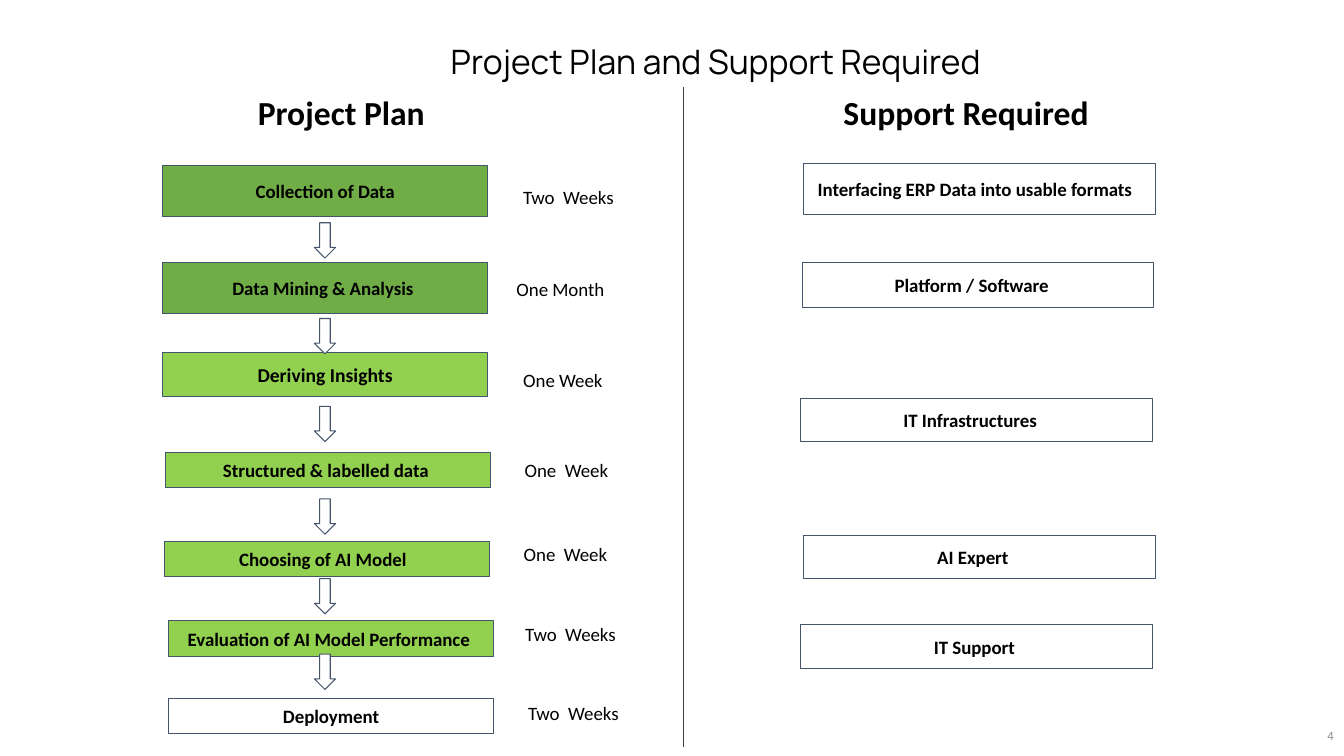
from lxml import etree
from pptx import Presentation
from pptx.dml.color import RGBColor
from pptx.enum.shapes import MSO_CONNECTOR, MSO_SHAPE
from pptx.enum.text import MSO_ANCHOR, PP_ALIGN
from pptx.oxml.ns import qn
from pptx.util import Pt

RECTANGLE, DOWN_ARROW = MSO_SHAPE.RECTANGLE, MSO_SHAPE.DOWN_ARROW
STRAIGHT = MSO_CONNECTOR.STRAIGHT
LEFT, CENTER, RIGHT = PP_ALIGN.LEFT, PP_ALIGN.CENTER, PP_ALIGN.RIGHT
TOP, MIDDLE = MSO_ANCHOR.TOP, MSO_ANCHOR.MIDDLE

BLACK = RGBColor(0x00, 0x00, 0x00)
WHITE = RGBColor(0xFF, 0xFF, 0xFF)
GREEN = RGBColor(0x70, 0xAD, 0x47)
LIME = RGBColor(0x92, 0xD0, 0x50)
SLATE = RGBColor(0x44, 0x54, 0x6A)
DIVIDER = RGBColor(0x40, 0x40, 0x40)
GRAY = RGBColor(0x8C, 0x8C, 0x8C)

INSET = 7.2
STEP_WIDTH, SUPPORT_WIDTH = 232.6, 251.3
DURATION_HEIGHT = 25.9

# Box left, top, height, fill, text, size, extra right inset;
# duration left, top, width, text
STEPS = [
    ((116, 118.1, 36.7, GREEN, "Collection of Data", 13.5, 0),
     (347, 127.4, 118, "Two  Weeks")),
    ((116, 187.2, 36.7, GREEN, "Data Mining & Analysis", 13.5, 3),
     (351.3, 193.7, 98, "One Month")),
    ((116, 252, 31, LIME, "Deriving Insights", 14, 0),
     (352.1, 258.5, 100, "One Week")),
    ((118.1, 323.3, 25.2, LIME, "Structured & labelled data", 13.5, 3),
     (345.6, 322.6, 118, "One  Week")),
    ((117.4, 386.6, 25.2, LIME, "Choosing of AI Model", 13.5, 6),
     (344.9, 383, 118, "One  Week")),
    ((120.2, 443.5, 25.2, LIME, "Evaluation of AI Model Performance", 13.5, 3),
     (348.5, 439.9, 118, "Two  Weeks")),
    ((120.2, 499, 25.2, WHITE, "Deployment", 13.5, 0),
     (350.6, 496.1, 118, "Two  Weeks")),
]
ARROW_TOPS = [159.1, 227.5, 290.2, 356.4, 413.3, 467.3]

# Left, top, height, text, extra right inset
SUPPORTS = [
    (573.8, 116.6, 36.7, "Interfacing ERP Data into usable formats", 6),
    (572.9, 187.2, 32.4, "Platform / Software", 9),
    (571.9, 284.4, 31, "IT Infrastructures", 9),
    (573.8, 382.3, 31, "AI Expert", 9),
    (571.9, 446.4, 31, "IT Support", 3),
]


class SlideBuilder:
    def __init__(self, slide, font="Calibri", size=13.5):
        self.slide = slide
        self.font = font
        self.size = size

    def label(self, shape, text, size=None, bold=False, color=BLACK, font=None,
              align=CENTER, anchor=MIDDLE, shift=0, spacing=None):
        """Put one styled paragraph in a shape; shift widens the right inset."""
        frame = shape.text_frame
        frame.word_wrap = True
        frame.vertical_anchor = anchor
        frame.margin_left, frame.margin_right = Pt(INSET), Pt(INSET + shift)
        frame.margin_top = frame.margin_bottom = Pt(INSET / 2)
        paragraph = frame.paragraphs[0]
        paragraph.text = text
        paragraph.alignment = align
        if spacing:
            paragraph.line_spacing = spacing
        paragraph.font.name = font or self.font
        paragraph.font.size = Pt(size or self.size)
        paragraph.font.bold = bold
        paragraph.font.color.rgb = color

    def text(self, left, top, width, height, text, **style):
        box = self.slide.shapes.add_textbox(Pt(left), Pt(top), Pt(width), Pt(height))
        self.label(box, text, **style)

    def outlined(self, kind, left, top, width, height, fill):
        shape = self.slide.shapes.add_shape(
            kind, Pt(left), Pt(top), Pt(width), Pt(height))
        shape.shadow.inherit = False
        shape.fill.solid()
        shape.fill.fore_color.rgb = fill
        shape.line.color.rgb = SLATE
        shape.line.width = Pt(0.75)
        return shape

    def box(self, left, top, width, height, fill, text, **style):
        shape = self.outlined(RECTANGLE, left, top, width, height, fill)
        self.label(shape, text, bold=True, **style)

    def arrow(self, left, top):
        self.outlined(DOWN_ARROW, left, top, 15.1, 25.2, WHITE)

    def vertical_line(self, x, top, bottom):
        line = self.slide.shapes.add_connector(
            STRAIGHT, Pt(x), Pt(top), Pt(x), Pt(bottom))
        line.line.color.rgb = DIVIDER
        line.line.width = Pt(0.75)
        etree.SubElement(line._element.spPr, qn("a:effectLst"))


def main():
    presentation = Presentation()
    presentation.slide_width, presentation.slide_height = Pt(960), Pt(540)
    slide = presentation.slides.add_slide(presentation.slide_layouts[6])
    builder = SlideBuilder(slide)

    # Title, column headings and divider
    builder.text(244.8, 11.5, 532.8, 51.8, "Project Plan and Support Required",
                 size=24, font="Manrope", anchor=TOP, spacing=1.5)
    for left, width, heading in ((177.1, 134.6, "Project Plan"),
                                 (595.4, 191.5, "Support Required")):
        builder.text(left, 61.9, width, 36, heading,
                     size=24, bold=True, align=LEFT, anchor=TOP)
    builder.vertical_line(488.2, 61.9, 533.5)

    # Project steps with their durations
    for step, duration in STEPS:
        left, top, height, fill, text, size, shift = step
        builder.box(left, top, STEP_WIDTH, height, fill, text, size=size, shift=shift)
        left, top, width, text = duration
        builder.text(left, top, width, DURATION_HEIGHT, text)
    for top in ARROW_TOPS:
        builder.arrow(224.6, top)

    # Support required
    for left, top, height, text, shift in SUPPORTS:
        builder.box(left, top, SUPPORT_WIDTH, height, WHITE, text, shift=shift)

    # Page number
    builder.text(934.6, 511.2, 25.2, 28.8, "4", size=9, color=GRAY, align=RIGHT)

    presentation.save("out.pptx")


if __name__ == "__main__":
    main()
